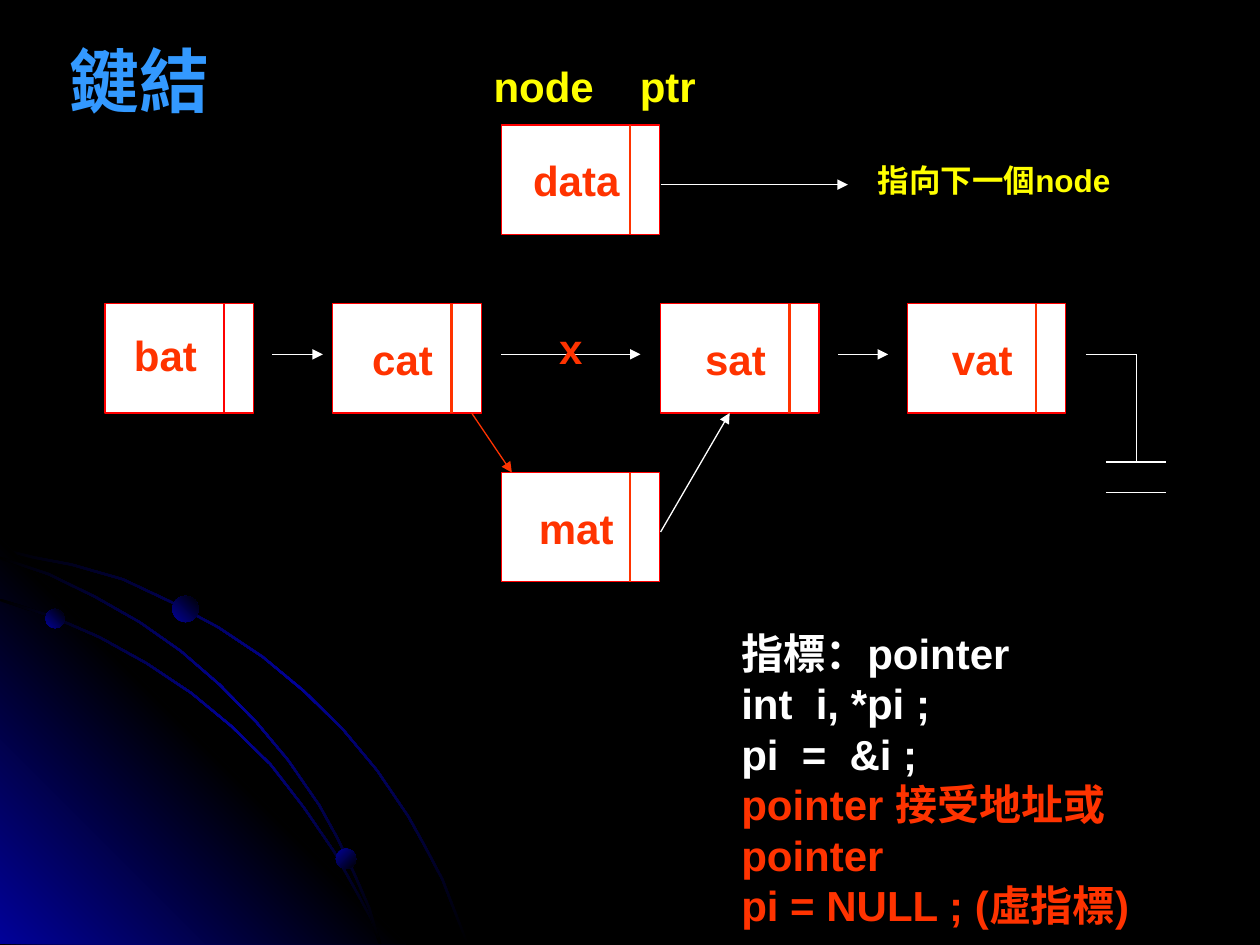
from lxml import etree
from pptx import Presentation
from pptx.dml.color import RGBColor
from pptx.enum.shapes import MSO_CONNECTOR, MSO_SHAPE
from pptx.enum.text import MSO_ANCHOR, PP_ALIGN
from pptx.oxml.ns import qn
from pptx.util import Pt

RECT, OVAL = MSO_SHAPE.RECTANGLE, MSO_SHAPE.OVAL
STRAIGHT = MSO_CONNECTOR.STRAIGHT
LEFT, CENTER = PP_ALIGN.LEFT, PP_ALIGN.CENTER
MIDDLE = MSO_ANCHOR.MIDDLE

COLORS = {
    "black": "000000", "white": "FFFFFF", "navy": "010199", "red": "FF0000",
    "orange": "FF3300", "yellow": "FFFF00", "blue": "3399FF",
}
GLOW = ["black", "navy", "black"]

# Outer edges of the three background arcs
ARCS = [
    [(0, 313), (20, 318), (41, 322), (70.5, 330.5), (98, 343.5), (125, 358),
     (150.5, 375), (174, 394.5), (196, 416), (216, 440), (234, 466.5),
     (244, 484.5), (253.5, 502.5), (260.5, 520.5), (268, 539.5)],
    [(0, 342), (29.5, 351.5), (57, 363.5), (84, 378.5), (109.5, 395.5),
     (132.5, 414.5), (155, 436.5), (174, 461), (191.5, 486.5), (206, 512.5),
     (213, 525.5), (218, 539.5)],
    [(0, 318), (28, 327.5), (54.5, 340.5), (80, 355), (103.5, 371.5),
     (126, 391), (147, 412.5), (165, 434), (183, 460), (193.5, 479),
     (203, 499), (211.5, 518.5), (218, 539.5)],
]
BAND = 1.5

ROW, NODE_H, POINTER_W = 173.5, 62.5, 17
MID = 202.5


def rgb(name):
    return RGBColor.from_string(COLORS[name])


class Deck:
    font = "Arial"
    size = 24

    def __init__(self, slide):
        self.s = slide

    def gradient(self, sp, names, angle):
        """Fill with evenly spaced colours; the angle runs clockwise."""
        sp.shadow.inherit = False
        sp.line.fill.background()
        sp.fill.gradient()
        grad = sp._element.spPr.find(qn("a:gradFill"))
        stops = grad.find(qn("a:gsLst"))
        for stop in list(stops):
            stops.remove(stop)
        for i, name in enumerate(names):
            gs = etree.SubElement(stops, qn("a:gs"), pos=str(100000 * i // (len(names) - 1)))
            etree.SubElement(gs, qn("a:srgbClr"), val=COLORS[name])
        grad.find(qn("a:lin")).set("ang", str(angle * 60000))

    def outline(self, points, names, angle):
        pts = [(Pt(x), Pt(y)) for x, y in points]
        fb = self.s.shapes.build_freeform(*pts[0], scale=1.0)
        fb.add_line_segments(pts[1:], close=True)
        self.gradient(fb.convert_to_shape(), names, angle)

    def arc(self, edge):
        """Draw a thin band whose inner edge turns from below to the left."""
        last = len(edge) - 1
        inner = [(x - BAND * i / last, y + BAND * (1 - i / last))
                 for i, (x, y) in enumerate(edge)]
        self.outline(edge + inner[::-1], GLOW, 45)

    def ball(self, x, y, d, angle):
        sp = self.s.shapes.add_shape(OVAL, Pt(x), Pt(y), Pt(d), Pt(d))
        self.gradient(sp, ["navy", "black"], angle)

    def set_lines(self, tf, lines, size=size, align=LEFT):
        for i, (text, color) in enumerate(lines):
            p = tf.add_paragraph() if i else tf.paragraphs[0]
            p.text = text
            p.alignment = align
            p.font.name, p.font.size, p.font.bold = self.font, Pt(size), True
            p.font.color.rgb = rgb(color)

    def text(self, x, y, w, h, lines, size=size):
        tf = self.s.shapes.add_textbox(Pt(x), Pt(y), Pt(w), Pt(h)).text_frame
        tf.word_wrap = True
        self.set_lines(tf, lines, size)

    def line(self, x1, y1, x2, y2, color="white", width=0.75, arrow=False):
        c = self.s.shapes.add_connector(STRAIGHT, Pt(x1), Pt(y1), Pt(x2), Pt(y2))
        c.line.color.rgb = rgb(color)
        c.line.width = Pt(width)
        sp_pr = c._element.spPr
        if arrow:
            etree.SubElement(sp_pr.find(qn("a:ln")), qn("a:tailEnd"), type="triangle")
        etree.SubElement(sp_pr, qn("a:effectLst"))

    def node(self, x, y, w, label="", divider="orange"):
        """Draw a list node: a data box with a pointer cell at its right."""
        sp = self.s.shapes.add_shape(RECT, Pt(x), Pt(y), Pt(w), Pt(NODE_H))
        sp.shadow.inherit = False
        sp.fill.solid()
        sp.fill.fore_color.rgb = rgb("white")
        sp.line.color.rgb = rgb("red")
        sp.line.width = Pt(0.75)
        if label:
            tf = sp.text_frame
            tf.word_wrap = False
            tf.vertical_anchor = MIDDLE
            tf.margin_right = Pt(12)
            self.set_lines(tf, [(label, "orange")], align=CENTER)
        cell = x + w - POINTER_W
        self.line(cell, y, cell, y + NODE_H, divider, 1.5)


def main():
    prs = Presentation()
    prs.slide_width, prs.slide_height = Pt(720), Pt(540)
    s = prs.slides.add_slide(prs.slide_layouts[6])
    s.background.fill.solid()
    s.background.fill.fore_color.rgb = rgb("black")
    deck = Deck(s)

    deck.arc(ARCS[0])
    deck.outline([(0, 307.5), (232, 539.5), (0, 539.5)], ["navy", "black", "navy"], 315)
    for edge in ARCS[1:]:
        deck.arc(edge)
    for ball in [(26, 348, 11, 315), (192, 485, 11.5, 45), (98.5, 340.5, 15, 315)]:
        deck.ball(*ball)

    deck.node(286.5, 71.5, 90.5, "data")
    deck.node(377.5, ROW, 90.5, "sat")
    deck.node(286.5, 270, 90.5, "mat")
    deck.node(518.5, ROW, 90.5, "vat")
    deck.node(190, ROW, 85, "cat")
    deck.node(60, ROW, 85, divider="red")

    for x1, x2 in [(155.5, 184.5), (286.5, 366), (479, 507.5)]:
        deck.line(x1, MID, x2, MID, arrow=True)
    deck.line(377.5, 105.5, 484.5, 105.5, arrow=True)
    deck.line(269.5, 236, 292.5, 270, "orange", arrow=True)
    deck.line(377.5, 304, 417, 236, arrow=True)

    # Null terminator
    deck.line(620.5, MID, 649.5, MID)
    deck.line(649.5, MID, 649.5, 264)
    for y in (264, 281.5):
        deck.line(632, y, 666, y)

    deck.text(32.5, 18, 110, 56, [("鍵結", "blue")], 40)
    deck.text(275, 31, 80, 36, [("node", "yellow")])
    deck.text(358.5, 31, 60, 36, [("ptr", "yellow")])
    deck.text(494.5, 88.5, 165, 29, [("指向下一個node", "yellow")], 18)
    deck.text(69.5, 184.5, 56, 36, [("bat", "orange")])
    deck.text(312.5, 181, 33, 36, [("x", "orange")])
    deck.text(416.5, 355, 290, 180, [
        ("指標：pointer", "white"),
        ("int  i, *pi ;", "white"),
        ("pi  =  &i ;", "white"),
        ("pointer 接受地址或 pointer", "orange"),
        ("pi = NULL ; (虛指標)", "orange"),
    ])
    prs.save("out.pptx")


if __name__ == "__main__":
    main()
